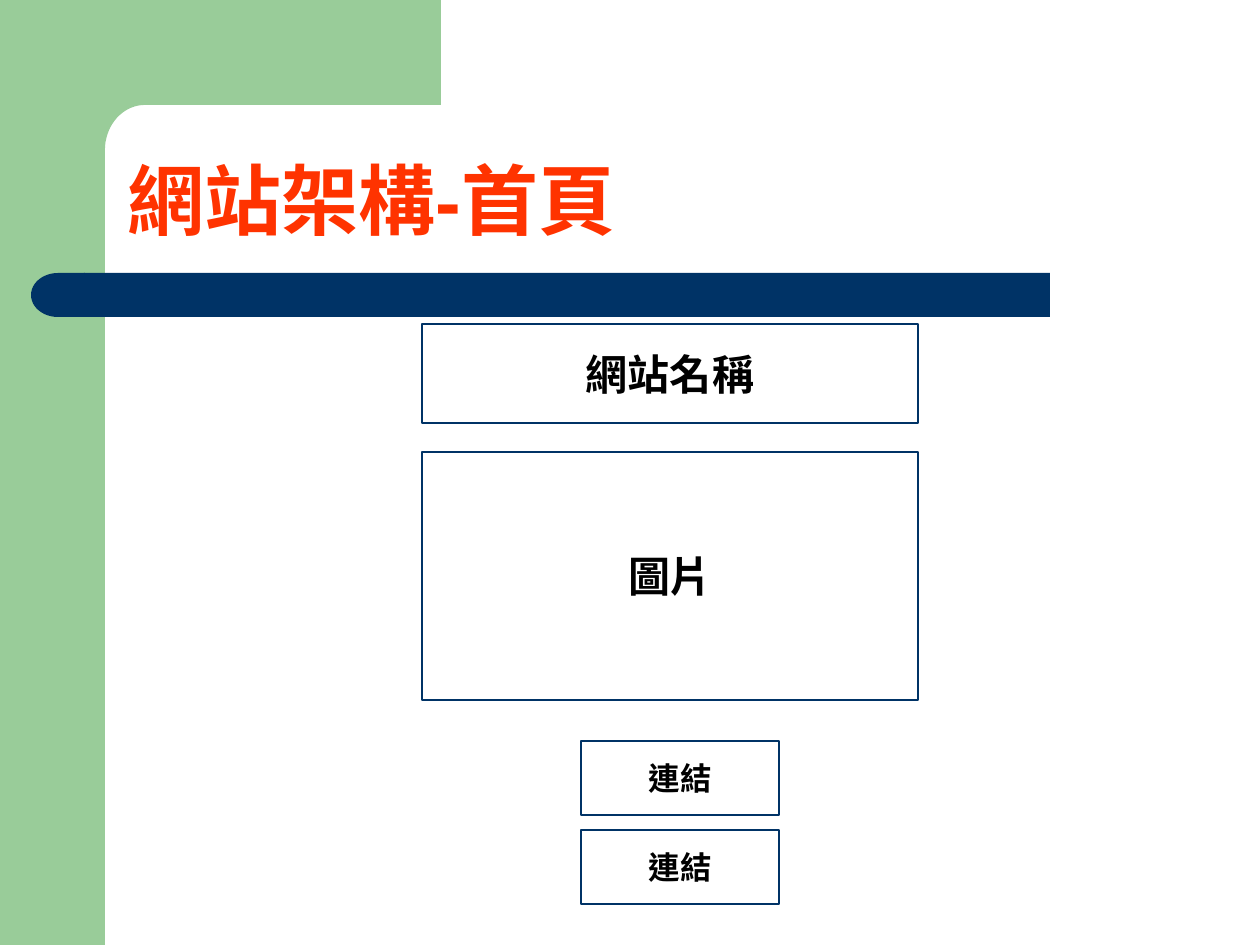
import math
from dataclasses import dataclass

from pptx import Presentation, util as u
from pptx.dml.color import RGBColor
from pptx.enum import shapes, text

PX_PER_INCH = 126


@dataclass(frozen=True)
class Theme:
    green: str = "99CC99"
    navy: str = "003366"
    white: str = "FFFFFF"
    black: str = "000000"
    title_color: str = "FF3300"
    font: str = "Arial"
    title_size: int = 44
    block_size: int = 24
    link_size: int = 18


@dataclass(frozen=True)
class Box:
    left: int
    top: int
    width: int
    height: int


@dataclass(frozen=True)
class Block:
    label: str
    box: Box
    size: int


THEME = Theme()
PAGE = Box(0, 0, 1260, 945)
SIDEBAR = Box(0, 0, 105, 945)
CORNER = Box(63, 0, 378, 161)
CORNER_EDGE_Y = 105
CORNER_RADIUS_X, CORNER_RADIUS_Y = 40, 45
BAR = Box(84, 273, 966, 44)
BAR_CAP = Box(31, 273, 54, 44)
TITLE = Box(115, 115, 1072, 137)

LINK_TOP, LINK_STEP, LINK_COUNT = 741, 89, 2
BLOCKS = [
    Block("網站名稱", Box(422, 324, 496, 99), THEME.block_size),
    Block("圖片", Box(422, 452, 496, 248), THEME.block_size),
] + [
    Block("連結", Box(581, LINK_TOP + index * LINK_STEP, 198, 74), THEME.link_size)
    for index in range(LINK_COUNT)
]


def px(length: float) -> u.Emu:
    return u.Inches(length / PX_PER_INCH)


def place(box: Box) -> tuple:
    return px(box.left), px(box.top), px(box.width), px(box.height)


def paint(shape, fill: str, line: str | None = None) -> None:
    shape.shadow.inherit = False
    shape.fill.solid()
    shape.fill.fore_color.rgb = RGBColor.from_string(fill)
    if line is None:
        shape.line.fill.background()
    else:
        shape.line.color.rgb = RGBColor.from_string(line)
        shape.line.width = u.Pt(1)


def write(shape, label: str, size: int, color: str, alignment) -> None:
    shape.text_frame.text = label
    paragraph = shape.text_frame.paragraphs[0]
    paragraph.alignment = alignment
    for run in paragraph.runs:
        run.font.name = THEME.font
        run.font.size = u.Pt(size)
        run.font.bold = True
        run.font.color.rgb = RGBColor.from_string(color)
        run.font._element.set("lang", "zh-TW")


def add_plain_shape(slide, kind, box: Box, fill: str):
    shape = slide.shapes.add_shape(kind, *place(box))
    paint(shape, fill)
    return shape


def add_corner(slide) -> None:
    """Draw the top band whose inner corner is a quarter ellipse."""
    inner_left = SIDEBAR.width
    right = CORNER.left + CORNER.width
    center_x = inner_left + CORNER_RADIUS_X
    center_y = CORNER_EDGE_Y + CORNER_RADIUS_Y
    arc = [
        (center_x - CORNER_RADIUS_X * math.sin(math.radians(angle)),
         center_y - CORNER_RADIUS_Y * math.cos(math.radians(angle)))
        for angle in range(0, 91, 5)
    ]
    points = [
        (right, CORNER.top), (right, CORNER_EDGE_Y), *arc,
        (inner_left, CORNER.height), (CORNER.left, CORNER.height),
    ]
    builder = slide.shapes.build_freeform(px(CORNER.left), px(CORNER.top))
    builder.add_line_segments([(px(x), px(y)) for x, y in points], close=True)
    paint(builder.convert_to_shape(), THEME.green)


def add_title(slide, label: str) -> None:
    title = slide.shapes.add_textbox(*place(TITLE))
    title.text_frame.word_wrap = True
    title.text_frame.vertical_anchor = text.MSO_ANCHOR.BOTTOM
    write(title, label, THEME.title_size, THEME.title_color, text.PP_ALIGN.LEFT)
    title.text_frame.paragraphs[0].line_spacing = 0.9


def add_block(slide, block: Block) -> None:
    shape = slide.shapes.add_shape(shapes.MSO_SHAPE.RECTANGLE, *place(block.box))
    paint(shape, THEME.white, THEME.navy)
    shape.text_frame.word_wrap = False
    shape.text_frame.vertical_anchor = text.MSO_ANCHOR.MIDDLE
    write(shape, block.label, block.size, THEME.black, text.PP_ALIGN.CENTER)


def main() -> None:
    presentation = Presentation()
    presentation.slide_width = px(PAGE.width)
    presentation.slide_height = px(PAGE.height)
    slide = presentation.slides.add_slide(presentation.slide_layouts[6])

    add_plain_shape(slide, shapes.MSO_SHAPE.RECTANGLE, SIDEBAR, THEME.green)
    add_corner(slide)
    bar = add_plain_shape(slide, shapes.MSO_SHAPE.ROUNDED_RECTANGLE, BAR, THEME.navy)
    bar.adjustments[0] = 0
    cap = add_plain_shape(slide, shapes.MSO_SHAPE.FLOWCHART_DELAY, BAR_CAP, THEME.navy)
    cap._element.spPr.get_or_add_xfrm().set("flipH", "1")

    add_title(slide, "網站架構-首頁")
    for block in BLOCKS:
        add_block(slide, block)
    presentation.save("out.pptx")


if __name__ == "__main__":
    main()
